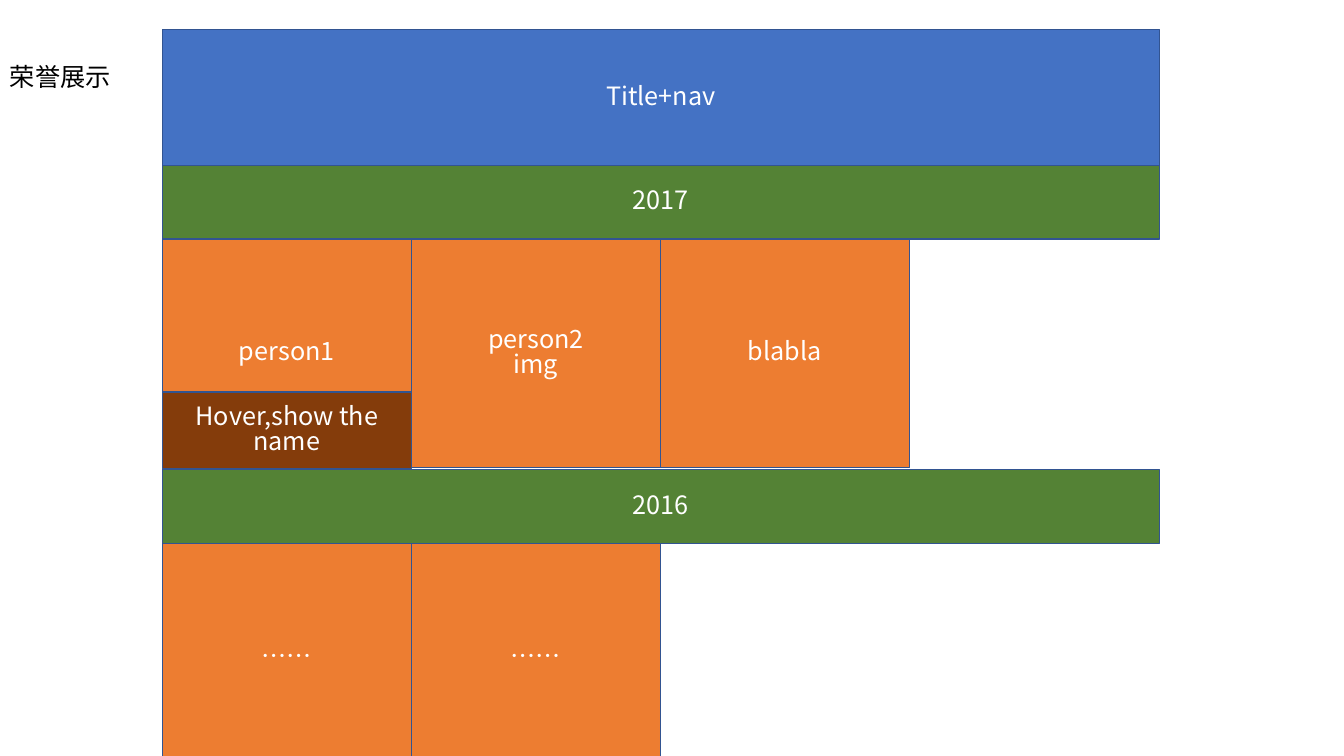
from dataclasses import dataclass

import lxml.etree
import pptx
import pptx.dml.color
import pptx.enum.shapes
import pptx.enum.text
import pptx.oxml.ns
import pptx.slide
import pptx.text.text
import pptx.util

FONT = "Noto Sans CJK SC"
COLORS = {
    "header": "4472C4",
    "year": "548235",
    "card": "ED7D31",
    "hover": "843C0B",
    "outline": "325491",
    "light": "FFFFFF",
    "dark": "000000",
}
LEFT = 1.61
PAGE_WIDTH = 9.89
CARD_WIDTH = 2.47
CARD_HEIGHT = 2.27
YEAR_HEIGHT = 0.73


@dataclass
class Block:
    left: float
    top: float
    width: float
    height: float
    color: str
    lines: tuple[str, ...]


@dataclass
class YearSection:
    year: str
    top: float
    cards: tuple[tuple[str, ...], ...]


SECTIONS = (
    YearSection("2017", 1.64, (("person1",), ("person2", "img"), ("blabla",))),
    YearSection("2016", 4.66, (("……",), ("……",))),
)


def color_of(name: str) -> pptx.dml.color.RGBColor:
    return pptx.dml.color.RGBColor.from_string(COLORS[name])


def write_lines(
    frame: pptx.text.text.TextFrame,
    lines: tuple[str, ...],
    color: str,
    alignment: pptx.enum.text.PP_ALIGN,
) -> None:
    frame.word_wrap = True
    for index, line in enumerate(lines):
        paragraph = frame.add_paragraph() if index else frame.paragraphs[0]
        paragraph.alignment = alignment
        paragraph.line_spacing = 0.83
        run = paragraph.add_run()
        run.text = line
        run.font.name = FONT
        run.font.size = pptx.util.Pt(18)
        run.font.color.rgb = color_of(color)
        east_asian = lxml.etree.SubElement(
            run.font._element, pptx.oxml.ns.qn("a:ea")
        )
        east_asian.set("typeface", FONT)


def draw_block(slide: pptx.slide.Slide, block: Block) -> None:
    shape = slide.shapes.add_shape(
        pptx.enum.shapes.MSO_SHAPE.RECTANGLE,
        pptx.util.Inches(block.left),
        pptx.util.Inches(block.top),
        pptx.util.Inches(block.width),
        pptx.util.Inches(block.height),
    )
    shape.shadow.inherit = False
    shape.fill.solid()
    shape.fill.fore_color.rgb = color_of(block.color)
    shape.line.color.rgb = color_of("outline")
    shape.line.width = pptx.util.Pt(1)
    shape.text_frame.vertical_anchor = pptx.enum.text.MSO_ANCHOR.MIDDLE
    write_lines(
        shape.text_frame, block.lines, "light", pptx.enum.text.PP_ALIGN.CENTER
    )


def draw_page_label(slide: pptx.slide.Slide, label: str) -> None:
    text_box = slide.shapes.add_textbox(
        pptx.util.Inches(0),
        pptx.util.Inches(0.61),
        pptx.util.Inches(LEFT),
        pptx.util.Inches(0.4),
    )
    write_lines(
        text_box.text_frame, (label,), "dark", pptx.enum.text.PP_ALIGN.LEFT
    )
    text_box.text_frame.auto_size = pptx.enum.text.MSO_AUTO_SIZE.SHAPE_TO_FIT_TEXT


def page_blocks() -> list[Block]:
    header = Block(LEFT, 0.29, PAGE_WIDTH, 1.36, "header", ("Title+nav",))
    cards = [
        Block(
            LEFT + column * CARD_WIDTH,
            section.top + YEAR_HEIGHT,
            CARD_WIDTH,
            CARD_HEIGHT,
            "card",
            lines,
        )
        for section in SECTIONS
        for column, lines in enumerate(section.cards)
    ]
    years = [
        Block(LEFT, section.top, PAGE_WIDTH, YEAR_HEIGHT, "year", (section.year,))
        for section in SECTIONS
    ]
    hover = Block(LEFT, 3.89, CARD_WIDTH, 0.76, "hover", ("Hover,show the name",))
    return [header, *cards, *years, hover]


def main() -> None:
    presentation = pptx.Presentation()
    presentation.slide_width = pptx.util.Inches(13.33)
    presentation.slide_height = pptx.util.Inches(7.5)
    slide = presentation.slides.add_slide(presentation.slide_layouts[6])
    for block in page_blocks():
        draw_block(slide, block)
    draw_page_label(slide, "荣誉展示")
    presentation.save("out.pptx")


if __name__ == "__main__":
    main()
